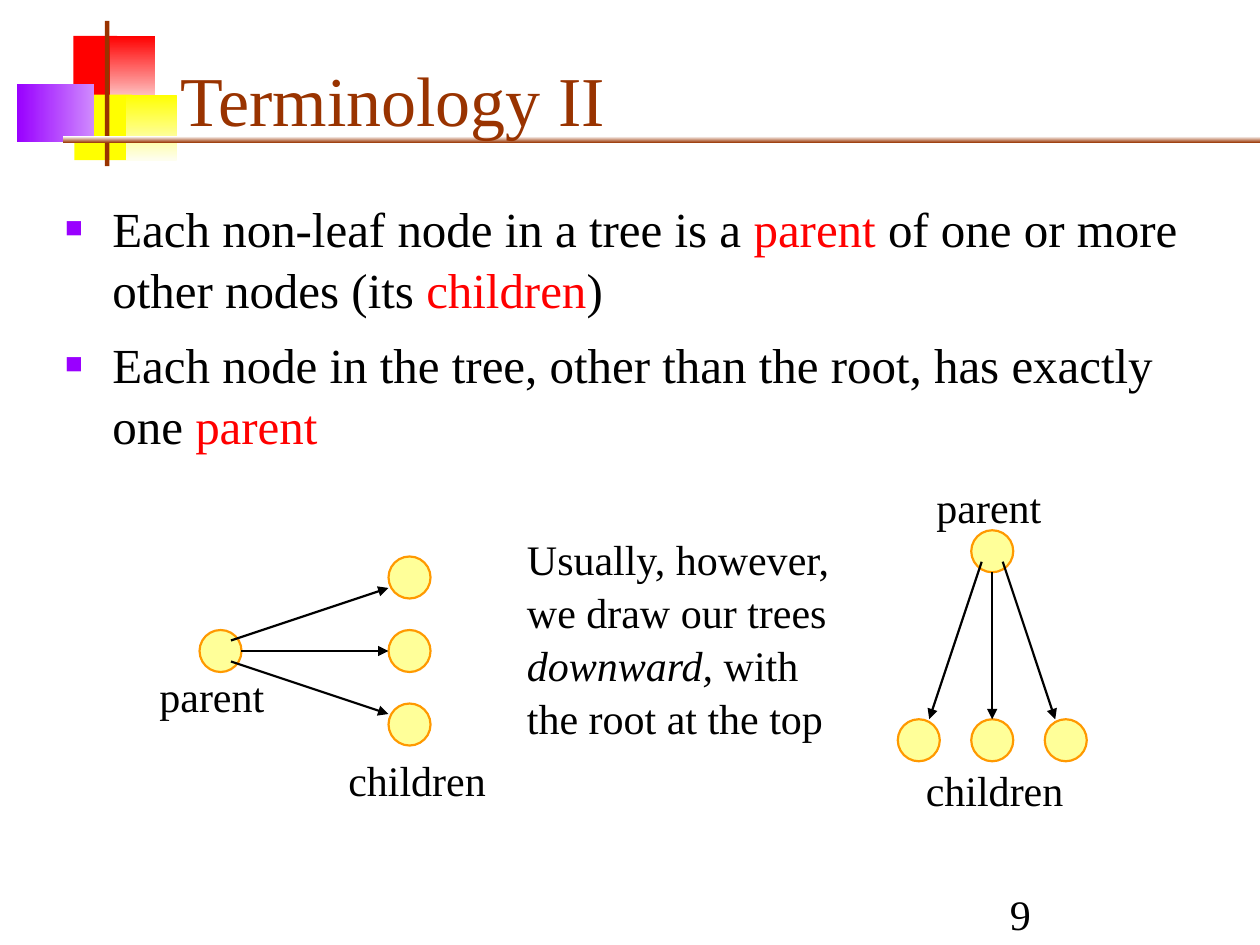
from lxml import etree
from pptx import Presentation
from pptx.dml.color import RGBColor
from pptx.enum.shapes import MSO_CONNECTOR, MSO_SHAPE
from pptx.enum.text import MSO_ANCHOR, MSO_AUTO_SIZE, PP_ALIGN
from pptx.oxml.ns import qn
from pptx.util import Pt

RECT, OVAL = MSO_SHAPE.RECTANGLE, MSO_SHAPE.OVAL
LINE = MSO_CONNECTOR.STRAIGHT
TOP, BOTTOM = MSO_ANCHOR.TOP, MSO_ANCHOR.BOTTOM
LEFT = PP_ALIGN.LEFT
FIXED = MSO_AUTO_SIZE.NONE
FONT = "Times New Roman"
BROWN, PURPLE, RED, YELLOW, BLACK = "993300", "9900FF", "FF0000", "FFFF00", "000000"
DOWN, RIGHT = 270, 0


def rgb(code):
    return RGBColor.from_string(code)


def write(shape, box, paras, size=24, color=BLACK, anchor=TOP, before=0, spacing=1.05):
    """Place a text shape; each paragraph is a list of (text, color or None, italic)."""
    shape.left, shape.top, shape.width, shape.height = map(Pt, box)
    frame = shape.text_frame
    frame.word_wrap, frame.auto_size = True, FIXED
    frame.vertical_anchor = anchor
    for i, runs in enumerate(paras):
        para = frame.add_paragraph() if i else frame.paragraphs[0]
        para.alignment = LEFT
        para.line_spacing, para.space_before = spacing, Pt(before)
        for text, tint, italic in runs:
            run = para.add_run()
            run.text = text
            run.font.name, run.font.size, run.font.italic = FONT, Pt(size), italic
            run.font.color.rgb = rgb(tint or color)


deck = Presentation()
deck.slide_width, deck.slide_height = Pt(720), Pt(540)
slide = deck.slides.add_slide(deck.slide_layouts[1])
shapes = slide.shapes

# Corner blocks and rules: box, colours from start to end, direction
blocks = [
    ((42, 20.5, 25, 37.5), [RED], None),
    ((63, 20.5, 25.5, 37.5), [RED, "FED0D0"], DOWN),
    ((42.5, 54, 33, 37.5), [YELLOW], None),
    ((72, 54, 29, 37.5), [YELLOW, "FEFEEF"], DOWN),
    ((9.75, 48, 44, 33), [PURPLE, "CF8AFE"], RIGHT),
    ((60, 12, 2.5, 83), [BROWN], None),
    ((36, 78, 684, 3.75), ["FEFEFE", BROWN], DOWN),
]
for box, colors, angle in blocks:
    block = shapes.add_shape(RECT, *map(Pt, box))
    block.shadow.inherit = False
    block.line.fill.background()
    if angle is None:
        block.fill.solid()
        block.fill.fore_color.rgb = rgb(colors[0])
    else:
        block.fill.gradient()
        block.fill.gradient_angle = angle
        for stop, color in zip(block.fill.gradient_stops, colors):
            stop.color.rgb = rgb(color)

# Title and list, raised above the corner blocks
title, body = shapes.title, slide.placeholders[1]
for holder in (title, body):
    shapes.element.append(holder.element)
write(title, (96, 18, 613.5, 66), [[("Terminology II", None, False)]],
      size=40, color=BROWN, anchor=BOTTOM, spacing=1)
write(body, (30, 108, 675, 175), [
    [("Each non-leaf node in a tree is a ", None, False),
     ("parent", RED, False),
     (" of one or more other nodes (its ", None, False),
     ("children", RED, False),
     (")", None, False)],
    [("Each node in the tree, other than the root, has exactly one ", None, False),
     ("parent", RED, False)],
], size=28, before=7)
for para in body.text_frame.paragraphs:
    props = para._p.get_or_add_pPr()
    props.set("marL", str(Pt(27)))
    props.set("indent", str(Pt(-27)))
    tint = etree.SubElement(props, qn("a:buClr"))
    etree.SubElement(tint, qn("a:srgbClr"), val=PURPLE)
    etree.SubElement(props, qn("a:buSzPct"), val="60000")
    etree.SubElement(props, qn("a:buChar"), char="■")

# Trees: parent centre, whether it grows downward, label corners
NODE, DEPTH, GAP = 24, 108, 42
trees = [
    ((126, 372), False, (84, 378), (192, 426)),
    ((567, 315), True, (528, 270), (522, 432)),
]
for (x, y), down, upper, lower in trees:
    tree = shapes.add_group_shape().shapes
    for along, across in [(0, 0), (DEPTH, -GAP), (DEPTH, 0), (DEPTH, GAP)]:
        dx, dy = (across, along) if down else (along, across)
        node = tree.add_shape(OVAL, Pt(x + dx - NODE / 2), Pt(y + dy - NODE / 2),
                              Pt(NODE), Pt(NODE))
        node.shadow.inherit = False
        node.fill.solid()
        node.fill.fore_color.rgb = rgb("FFFF99")
        node.line.color.rgb = rgb("FF9900")
        node.line.width = Pt(1.25)
    for side in (0, 1, -1):
        ends = []
        for along, across in [(12 - 6 * abs(side), 6 * side), (96, 36 * side)]:
            dx, dy = (across, along) if down else (along, across)
            ends += [Pt(x + dx), Pt(y + dy)]
        arrow = tree.add_connector(LINE, *ends)
        arrow.line.color.rgb = rgb(BLACK)
        arrow.line.width = Pt(1.25)
        etree.SubElement(arrow.line._get_or_add_ln(), qn("a:tailEnd"), type="triangle")
        etree.SubElement(arrow.element.spPr, qn("a:effectLst"))
    for word, spot, width in [("parent", upper, 90), ("children", lower, 102)]:
        write(tree.add_textbox(0, 0, 0, 0), (*spot, width, 36), [[(word, None, False)]])

write(shapes.add_textbox(0, 0, 0, 0), (294, 300, 204, 122.5), [
    [("Usually, however, we draw our trees ", None, False),
     ("downward,", None, True),
     (" with the root at the top", None, False)],
])
write(shapes.add_textbox(0, 0, 0, 0), (570, 504, 150, 36), [[("9", None, False)]],
      anchor=BOTTOM, spacing=1)

deck.save("out.pptx")
